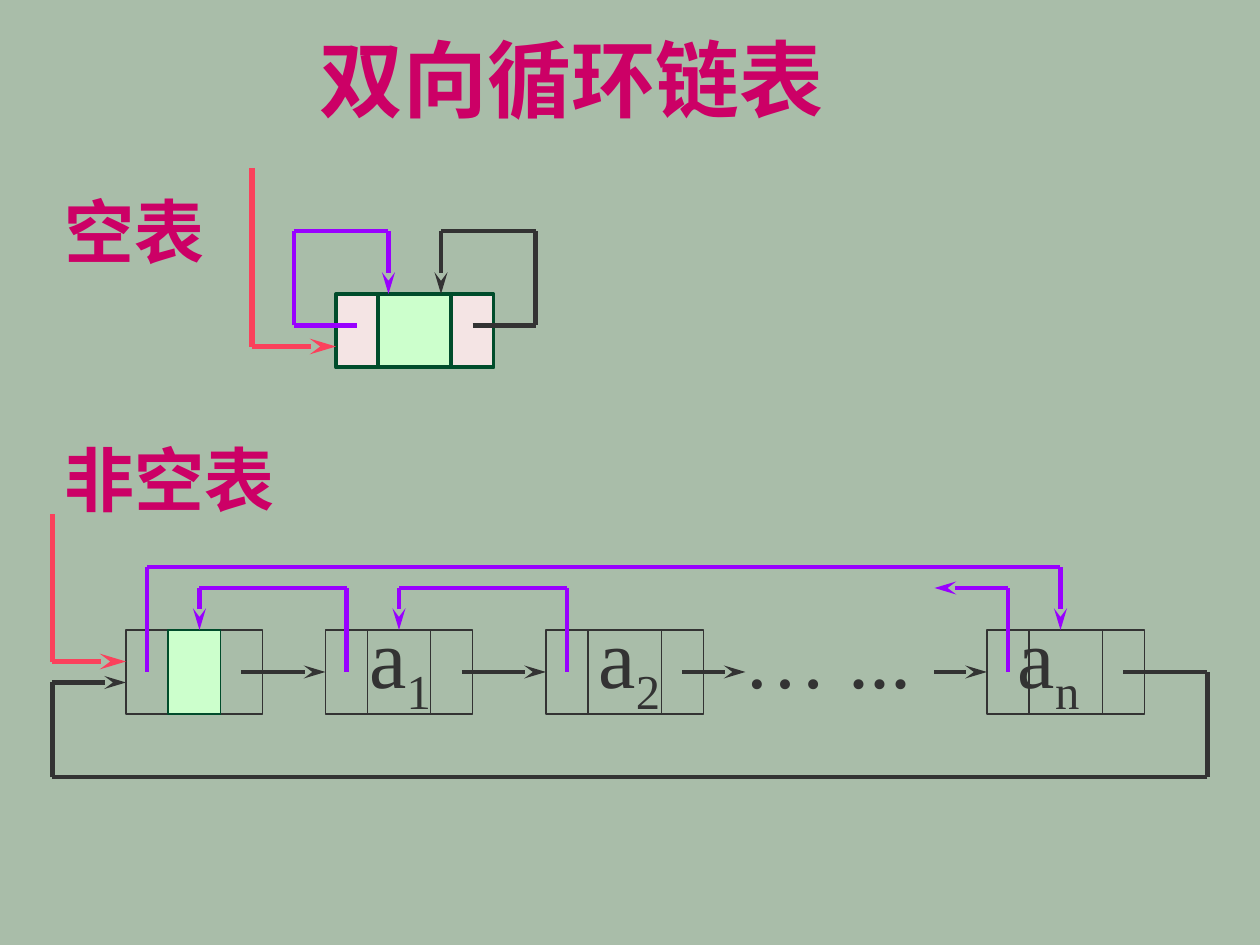
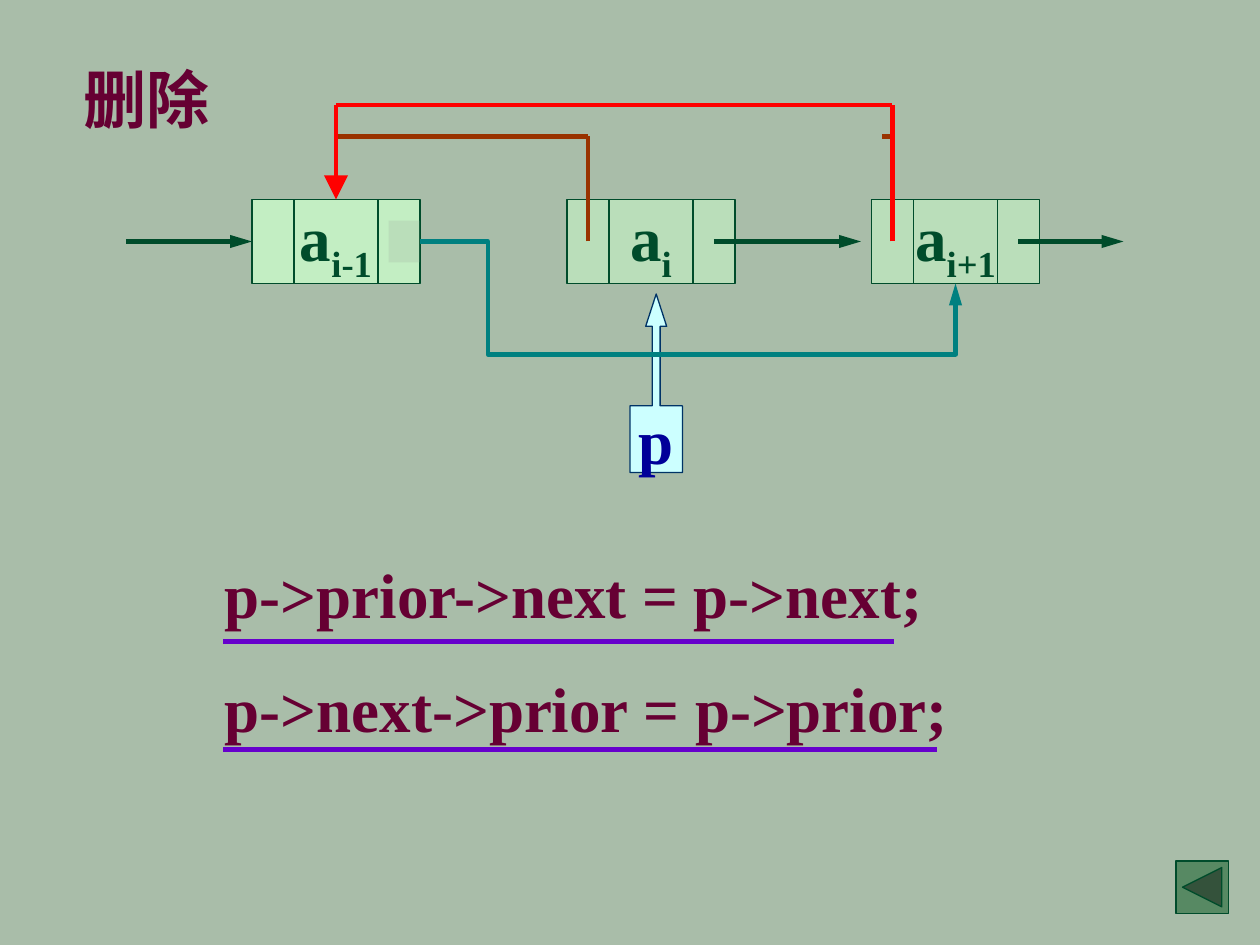
import itertools

import pptx
import pptx.dml.color
import pptx.enum.shapes
import pptx.enum.text
import pptx.oxml.ns
import pptx.util
from lxml import etree

Pt = pptx.util.Pt
qn = pptx.oxml.ns.qn
SHAPES = pptx.enum.shapes.MSO_SHAPE
CONNECTORS = pptx.enum.shapes.MSO_CONNECTOR
ALIGN = pptx.enum.text.PP_ALIGN
ANCHOR = pptx.enum.text.MSO_ANCHOR

FONT = "Times New Roman"
BACKGROUND = "A9BDA9"
PINK = "CC0066"
WINE = "660033"
CHARCOAL = "333333"
CORAL = "FB415C"
VIOLET = "9900FF"
INDIGO = "6600CC"
FOREST = "004C2B"
MINT = "CCFFCC"
ROSE = "F4E4E4"
LEAF = "BADEBA"
BRIGHT_LEAF = "C3EEC3"
TEAL = "008080"
BROWN = "993300"
RED = "FF0000"


def paint(target, colour):
    target.solid()
    target.fore_color.rgb = pptx.dml.color.RGBColor.from_string(colour)


def write(text_frame, text, size=36, colour=FOREST, bold=True, align=ALIGN.LEFT,
          anchor=ANCHOR.TOP, spacing=None, tabs=()):
    text_frame.word_wrap = False
    text_frame.vertical_anchor = anchor
    for index, line in enumerate(text.split("\n")):
        paragraph = text_frame.add_paragraph() if index else text_frame.paragraphs[0]
        paragraph.alignment = align
        if spacing:
            paragraph.line_spacing = spacing
        if tabs:
            stops = etree.SubElement(paragraph._p.get_or_add_pPr(), qn("a:tabLst"))
            for position in tabs:
                etree.SubElement(stops, qn("a:tab"), pos=str(Pt(position)), algn="l")
        for part, content in enumerate(line.split("_")):
            run = paragraph.add_run()
            run.text = content
            run.font.name = FONT
            run.font.size = Pt(size)
            run.font.bold = bold
            paint(run.font.fill, colour)
            if part % 2:
                run._r.get_or_add_rPr().set("baseline", "-25000")


presentation = pptx.Presentation()
presentation.slide_width = Pt(720)
presentation.slide_height = Pt(540)
slides = []
for _ in range(2):
    slide = presentation.slides.add_slide(presentation.slide_layouts[6])
    paint(slide.background.fill, BACKGROUND)
    slides.append(slide)
circular, deletion = slides

texts = [
    (circular, "双向循环链表", (175.5, 12, 320, 65), dict(size=48, colour=PINK)),
    (circular, "空表", (30, 104, 105, 55), dict(size=40, colour=PINK)),
    (circular, "非空表", (30, 246, 145, 55), dict(size=40, colour=PINK)),
    (circular, "\ta_1_\ta_2_\t… ...\ta_n", (168, 342, 546, 93),
     dict(size=48, colour=CHARCOAL, bold=False, tabs=(36, 167, 250, 406.5))),
    (deletion, "删除", (40.5, 31, 95, 50), dict(colour=WINE)),
    (deletion, "p->prior->next = p->next;\np->next->prior = p->prior;",
     (121.5, 292.5, 440, 137), dict(colour=WINE, spacing=1.5)),
]
for slide, text, bounds, style in texts:
    box = slide.shapes.add_textbox(*map(Pt, bounds))
    write(box.text_frame, text, **style)

nodes = [(circular, left, 360, width, 48, None, CHARCOAL, 0.75, None)
         for left, width in ((72, 78), (186, 84), (312, 90), (564, 90))]
nodes += [
    (circular, 96, 360, 30, 48, MINT, FOREST, 0.75, None),
    (circular, 216, 168, 42, 42, MINT, FOREST, 2.25, None),
    (circular, 258, 168, 24, 42, ROSE, FOREST, 2.25, None),
    (circular, 192, 168, 24, 42, ROSE, FOREST, 2.25, None),
    (deletion, 144, 114, 96, 48, BRIGHT_LEAF, FOREST, 0.75, "a_i-1"),
    (deletion, 324, 114, 96, 48, LEAF, FOREST, 0.75, "a_i"),
    (deletion, 498, 114, 96, 48, LEAF, FOREST, 0.75, "a_i+1"),
    (deletion, 222, 126, 17.5, 24, LEAF, None, 0, None),
]
sides = {}
for slide, left, top, width, height, fill, outline, weight, label in nodes:
    shape = slide.shapes.add_shape(SHAPES.RECTANGLE, *map(Pt, (left, top, width, height)))
    shape.shadow.inherit = False
    if fill:
        paint(shape.fill, fill)
    else:
        shape.fill.background()
    if outline:
        paint(shape.line.fill, outline)
        shape.line.width = Pt(weight)
    else:
        shape.line.fill.background()
    if label:
        write(shape.text_frame, label, align=ALIGN.CENTER, anchor=ANCHOR.MIDDLE)
    middle, centre = left + width / 2, top + height / 2
    midpoints = ((middle, top), (left, centre), (middle, top + height), (left + width, centre))
    for site, point in enumerate(midpoints):
        sides.setdefault((slide.slide_id, point), (shape, site))

pointer = deletion.shapes.add_shape(SHAPES.UP_ARROW_CALLOUT, Pt(360), Pt(168), Pt(30), Pt(102))
for index, value in enumerate((0.15, 0.2, 0.617, 0.373)):
    pointer.adjustments[index] = value
pointer.shadow.inherit = False
paint(pointer.fill, "CCFFFF")
paint(pointer.line.fill, "003366")
pointer.line.width = Pt(0.75)
write(pointer.text_frame, "p", colour="000099", align=ALIGN.CENTER, anchor=ANCHOR.MIDDLE)

back_button = deletion.shapes.add_shape(
    SHAPES.ACTION_BUTTON_BACK_OR_PREVIOUS, Pt(672), Pt(492), Pt(30), Pt(30))
back_button.shadow.inherit = False
paint(back_button.fill, "578963")
paint(back_button.line.fill, FOREST)
back_button.line.width = Pt(0.75)

routes = [(circular, CHARCOAL, 0.75, None, [(x, 360), (x, 408)])
          for x in (210, 246, 336, 378, 588, 630)]
routes += [(deletion, FOREST, 0.75, None, [(left + offset, 114), (left + offset, 162)])
           for left in (144, 324, 498) for offset in (24, 72)]
routes += [(circular, CHARCOAL, 2.5, "stealth", [(start, 384), (end, 384)])
           for start, end in ((138, 186), (264, 312), (390, 426), (534, 564))]
routes += [(deletion, FOREST, 2.5, "triangle", [(start, 138), (end, 138)])
           for start, end in ((72, 144), (408, 492), (582, 642))]
routes += [(circular, VIOLET, 2.5, "stealth", [(x, 384), (x, level), (target, level), (target, 360)])
           for x, level, target in ((324, 336, 228), (198, 336, 114), (84, 324, 606))]
routes += [
    (circular, VIOLET, 2.5, "stealth", [(576, 384), (576, 336), (534, 336)]),
    (circular, CHARCOAL, 2.5, "stealth",
     [(642, 384), (690, 384), (690, 444), (30, 444), (30, 390), (72, 390)]),
    (circular, CORAL, 3, "stealth", [(30, 294), (30, 378), (72, 378)]),
    (circular, CHARCOAL, 2.5, "stealth",
     [(270, 186), (306, 186), (306, 132), (252, 132), (252, 168)]),
    (circular, VIOLET, 2.5, "stealth",
     [(204, 186), (168, 186), (168, 132), (222, 132), (222, 168)]),
    (circular, CORAL, 3, "stealth", [(144, 96), (144, 198), (192, 198)]),
    (deletion, BROWN, 2.5, None, [(336, 138), (336, 78), (192, 78)]),
    (deletion, BROWN, 2.5, None, [(510, 78), (504, 78)]),
    (deletion, RED, 2.75, "triangle", [(510, 138), (510, 60), (192, 60), (192, 114)]),
    (deletion, INDIGO, 3, None, [(127.5, 366.5), (511, 366.5)]),
    (deletion, INDIGO, 3, None, [(127.5, 428.5), (535.5, 428.5)]),
    (deletion, TEAL, 2.5, "triangle", [(240, 138), (546, 162)]),
]
for slide, colour, weight, arrowhead, points in routes:
    for start, end in itertools.pairwise(points):
        straight = start[0] == end[0] or start[1] == end[1]
        kind = CONNECTORS.STRAIGHT if straight else CONNECTORS.ELBOW
        connector = slide.shapes.add_connector(kind, *map(Pt, start + end))
        paint(connector.line.fill, colour)
        connector.line.width = Pt(weight)
        if arrowhead and end == points[-1]:
            head_width = "lg" if colour == RED else "med"
            etree.SubElement(connector.line._get_or_add_ln(), qn("a:tailEnd"),
                             type=arrowhead, w=head_width, len="lg")
            if (slide.slide_id, start) in sides:
                connector.begin_connect(*sides[slide.slide_id, start])
            if (slide.slide_id, end) in sides:
                connector.end_connect(*sides[slide.slide_id, end])
        properties = connector._element.spPr
        etree.SubElement(properties, qn("a:effectLst"))
        if not straight:
            geometry = properties.find(qn("a:prstGeom"))
            geometry.set("prst", "bentConnector4")
            guides = geometry.find(qn("a:avLst"))
            for name, value in (("adj1", 12700), ("adj2", 268800)):
                etree.SubElement(guides, qn("a:gd"), name=name, fmla=f"val {value}")

presentation.save("out.pptx")
